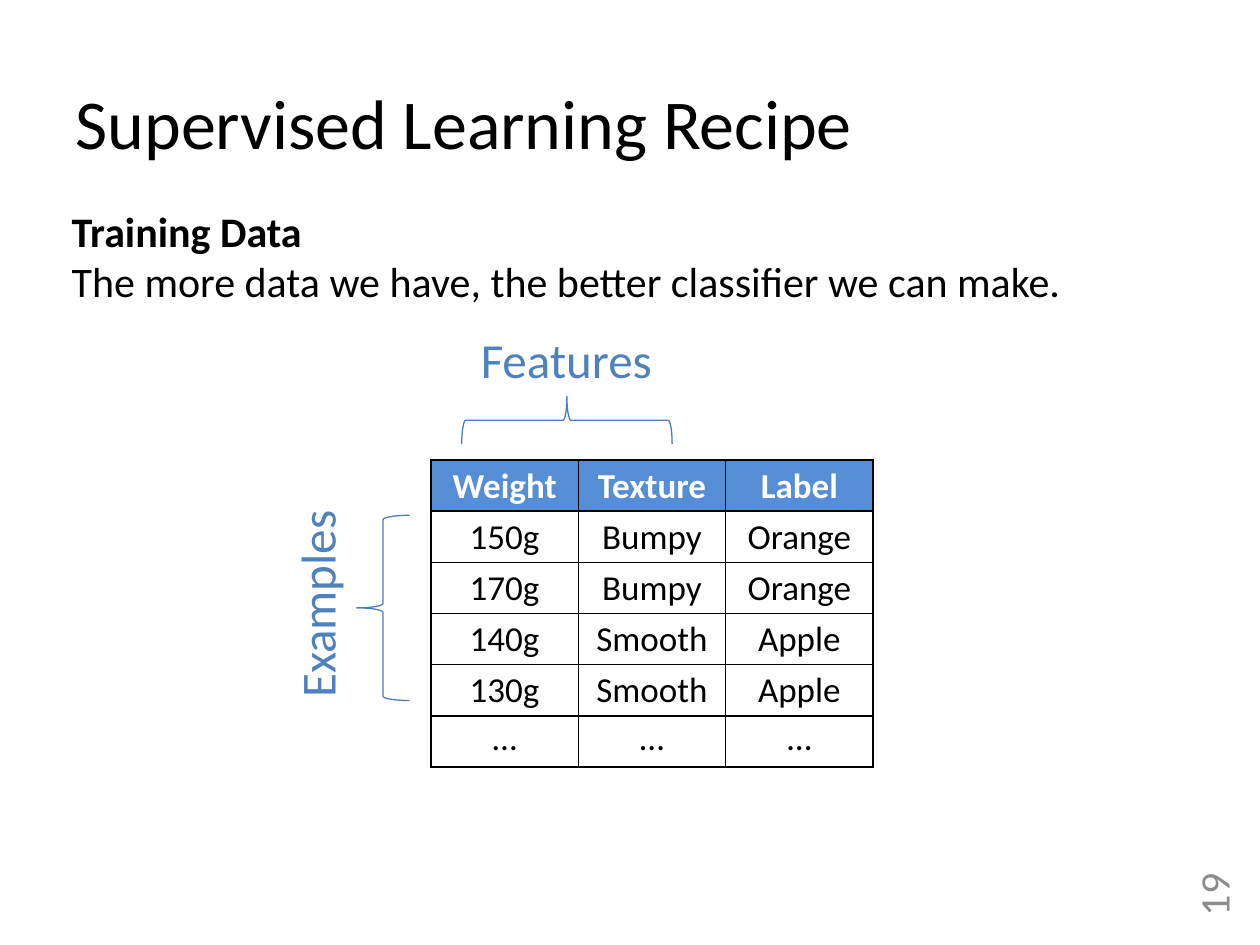
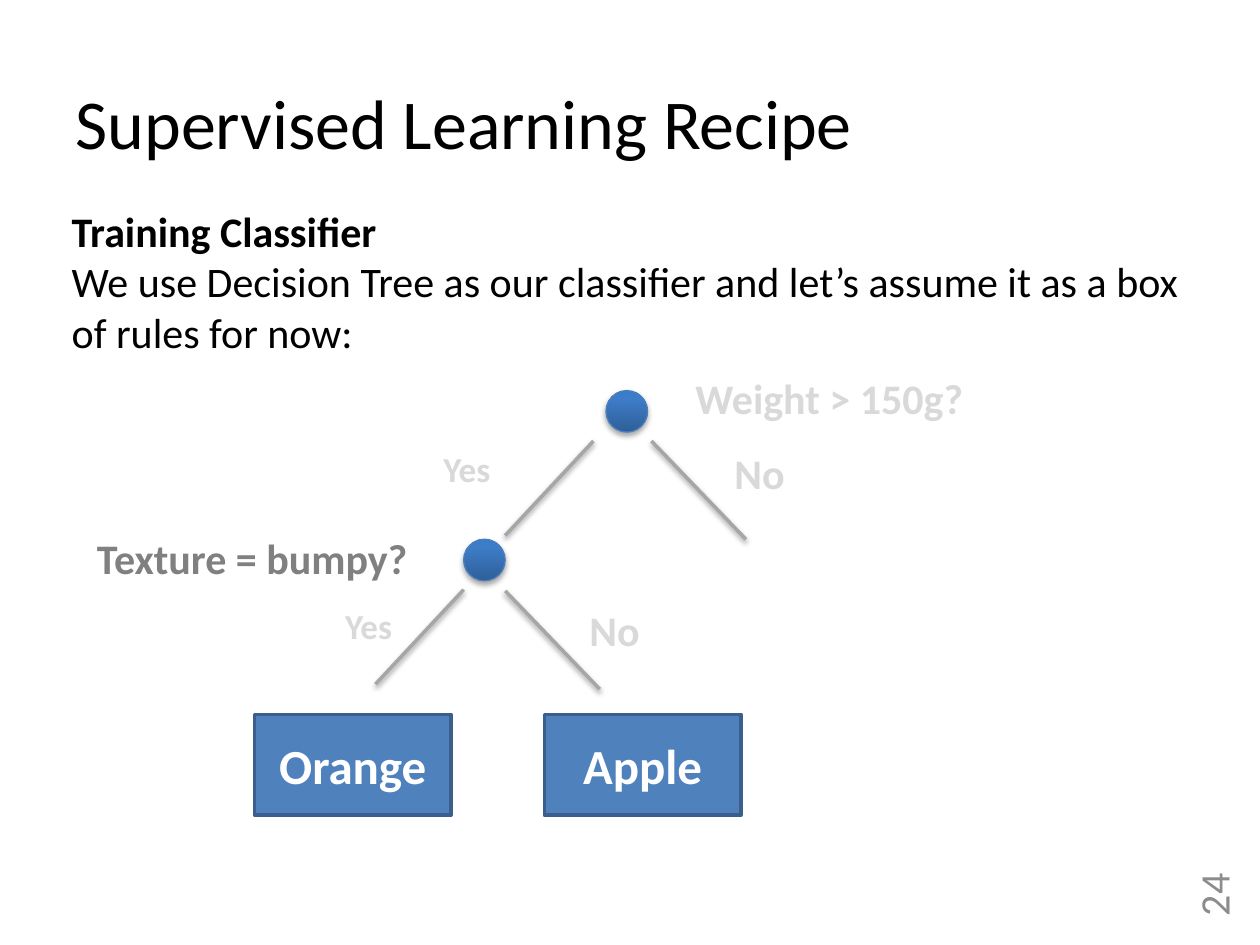
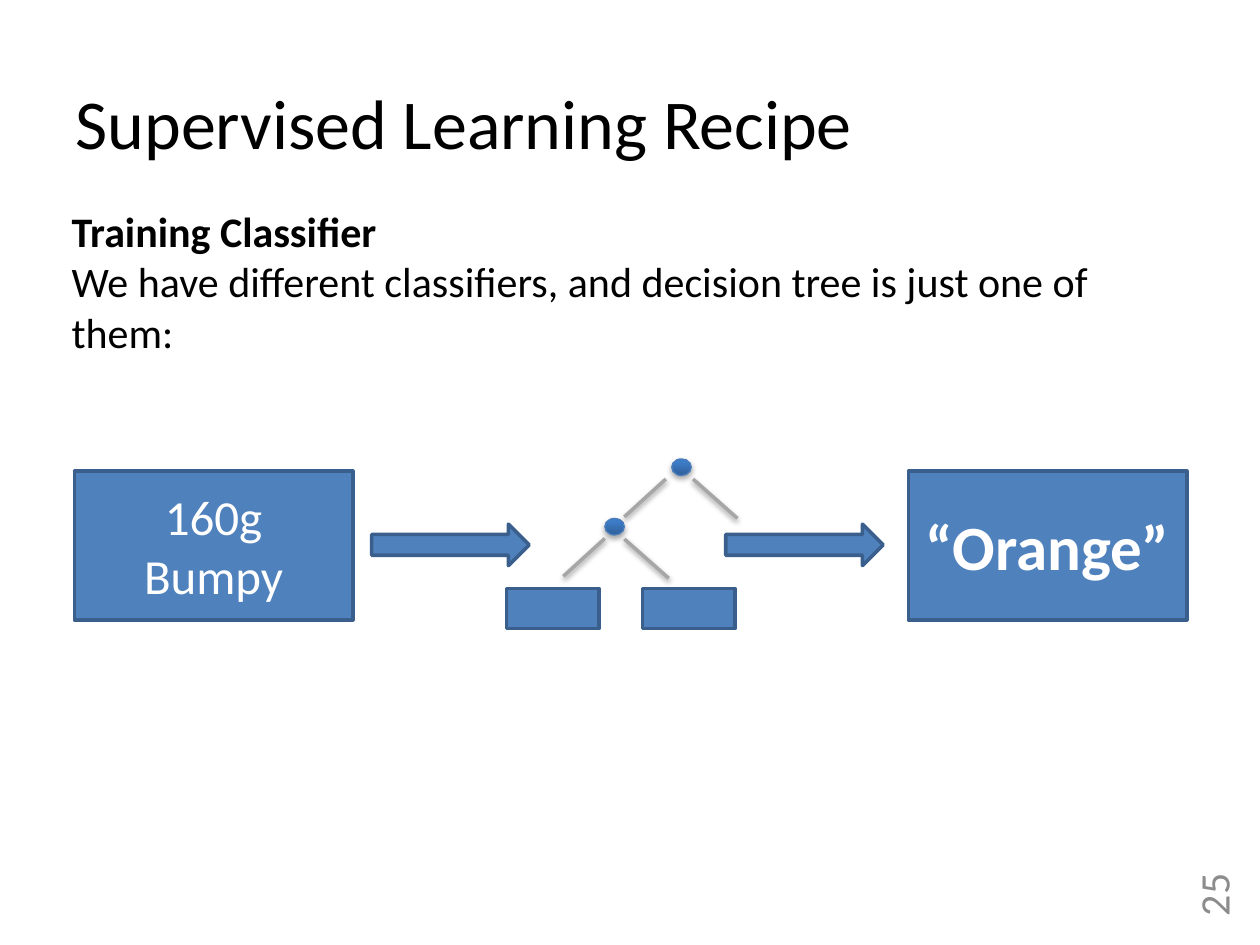
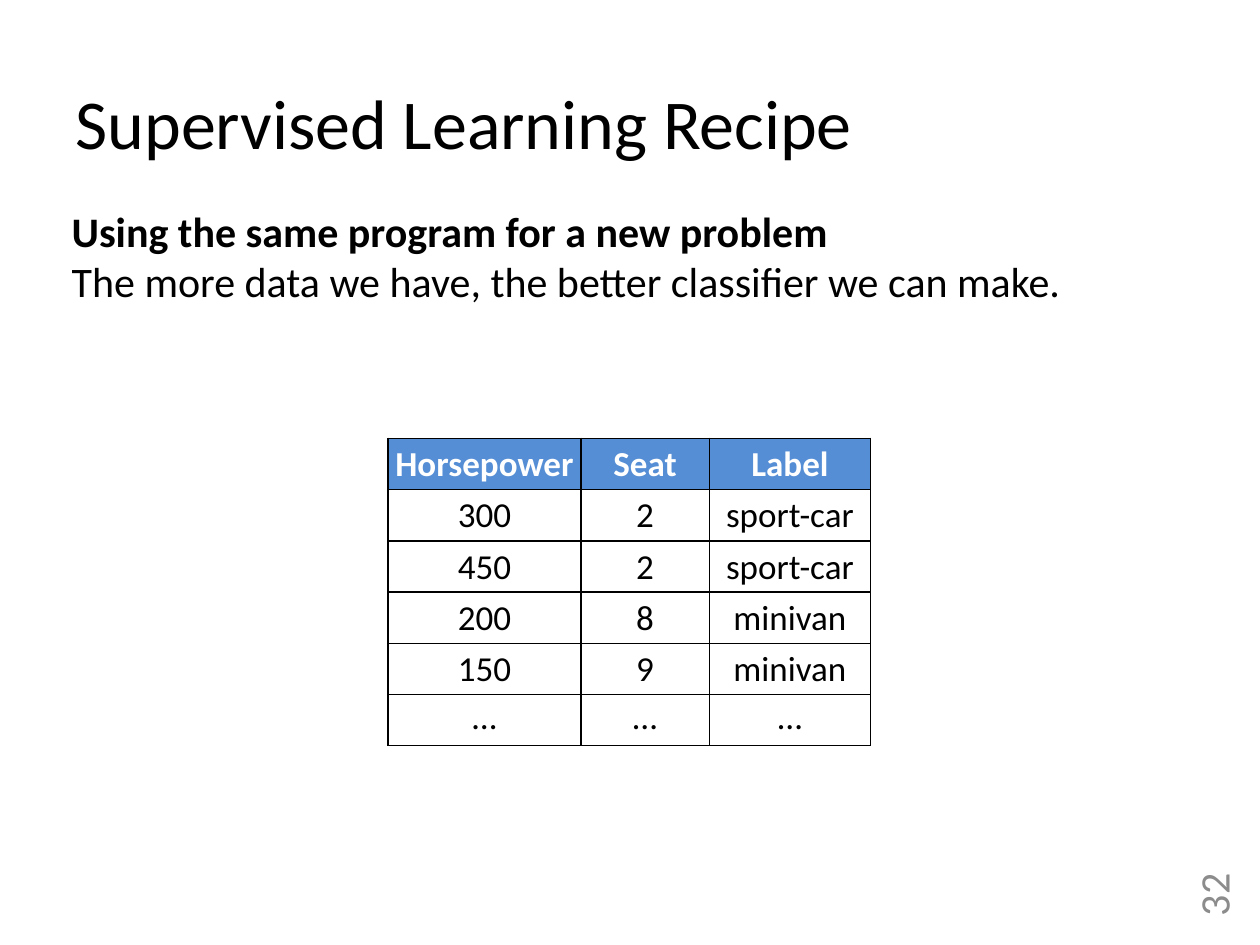
from dataclasses import dataclass

from pptx import Presentation, util as u
from pptx.dml.color import RGBColor
from pptx.enum import shapes, text
from pptx.oxml import parse_xml

NS = 'xmlns:a="http://schemas.openxmlformats.org/drawingml/2006/main"'


@dataclass(frozen=True)
class Theme:
    font: str = "Calibri"
    ink: str = "000000"
    paper: str = "FFFFFF"
    number: str = "8C8C8C"
    blue: str = "4F81BD"
    edge: str = "3A5F8C"
    thin: str = "4B7EBC"
    header: str = "558ED5"
    branch: str = "A6A6A6"
    active: str = "808080"
    faded: str = "D9D9D9"
    title_size: int = 40
    answer_size: int = 36
    label_size: int = 28
    body_size: int = 24
    cell_size: int = 20


theme = Theme()


def write(frame, lines, size, color, bold=False, align=text.PP_ALIGN.LEFT):
    for index, line in enumerate(lines):
        para = frame.add_paragraph() if index else frame.paragraphs[0]
        para.alignment = align
        for part_index, part in enumerate(line.split("\n")):
            if part_index:
                para.add_line_break()
            span = para.add_run()
            span.text = part
            span.font.name = theme.font
            span.font.size = u.Pt(size)
            span.font.bold = bold
            span.font.color.rgb = RGBColor.from_string(color)


def add_shadow(shape, distance, opacity):
    shape._element.spPr.append(parse_xml(
        f'<a:effectLst {NS}><a:outerShdw blurRad="40000" dist="{distance}" dir="5400000" rotWithShape="0">'
        f'<a:srgbClr val="000000"><a:alpha val="{opacity}000"/></a:srgbClr></a:outerShdw></a:effectLst>'))


deck = Presentation()
deck.slide_width, deck.slide_height = u.Inches(10), u.Inches(7.5)

more_data = "The more data we have, the better classifier we can make."
contents = [
    ("19", 0.91, "Training Data", more_data),
    ("24", 1.31, "Training Classifier",
     "We use Decision Tree as our classifier and let’s assume it as a box of rules for now:"),
    ("25", 1.31, "Training Classifier",
     "We have different classifiers, and decision tree is just one of them:"),
    ("32", 0.91, "Using the same program for a new problem", more_data),
]
pages = []
for number, body_height, heading, sentence in contents:
    page = deck.slides.add_slide(deck.slide_layouts[6])
    pages.append(page)

    box = page.shapes.add_textbox(*map(u.Inches, (9.29, 6.96, 0.67, 0.42)))
    box.rotation = 270
    box.text_frame.word_wrap = True
    box.text_frame.vertical_anchor = text.MSO_ANCHOR.MIDDLE
    write(box.text_frame, [number], theme.body_size, theme.number, align=text.PP_ALIGN.RIGHT)

    for at, lines, size in [
        ((0.5, 0.58, 9.08, 0.77), ["Supervised Learning Recipe"], theme.title_size),
        ((0.47, 1.58, 9.08, body_height), [heading, sentence], theme.body_size),
    ]:
        box = page.shapes.add_textbox(*map(u.Inches, at))
        box.text_frame.word_wrap = True
        box.text_frame.auto_size = text.MSO_AUTO_SIZE.SHAPE_TO_FIT_TEXT
        write(box.text_frame, lines, size, theme.ink)
    box.text_frame.paragraphs[0].runs[0].font.bold = True

fruit_page, tree_page, flow_page, car_page = pages

fruit_rows = [
    ("Weight", "Texture", "Label"),
    ("150g", "Bumpy", "Orange"),
    ("170g", "Bumpy", "Orange"),
    ("140g", "Smooth", "Apple"),
    ("130g", "Smooth", "Apple"),
    ("…", "…", "…"),
]
car_rows = [
    ("Horsepower", "Seat", "Label"),
    ("300", "2", "sport-car"),
    ("450", "2", "sport-car"),
    ("200", "8", "minivan"),
    ("150", "9", "minivan"),
    ("…", "…", "…"),
]
for page, left, top, widths, rows in [
    (fruit_page, 3.42, 3.65, (1.17, 1.17, 1.17), fruit_rows),
    (car_page, 3.08, 3.48, (1.53, 1.02, 1.28), car_rows),
]:
    table = page.shapes.add_table(
        len(rows), len(widths), *map(u.Inches, (left, top, sum(widths), 2.44))).table
    table.first_row = table.horz_banding = False
    for column, width in zip(table.columns, widths):
        column.width = u.Inches(width)
    for row_index, row in enumerate(rows):
        is_header = row_index == 0
        is_last = row_index == len(rows) - 1
        for column_index, value in enumerate(row):
            cell = table.cell(row_index, column_index)
            cell.margin_left = cell.margin_right = cell.margin_top = u.Inches(0.01)
            cell.margin_bottom = 0
            cell.vertical_anchor = text.MSO_ANCHOR.TOP if is_last else text.MSO_ANCHOR.MIDDLE
            if is_header:
                cell.fill.solid()
                cell.fill.fore_color.rgb = RGBColor.from_string(theme.header)
            else:
                cell.fill.background()
            write(cell.text_frame, [value], theme.cell_size,
                  theme.paper if is_header else theme.ink, is_header, text.PP_ALIGN.CENTER)
            for side_index, side in enumerate("LRTB"):
                cell._tc.get_or_add_tcPr().insert(side_index, parse_xml(
                    f'<a:ln{side} {NS} w="12700"><a:solidFill><a:srgbClr val="{theme.ink}"/>'
                    f'</a:solidFill></a:ln{side}>'))

for kind, brace_at, label, label_at, brace_turn, label_turn in [
    (shapes.MSO_SHAPE.RIGHT_BRACE, (4.31, 2.5, 0.38, 1.67), "Features", (3.71, 2.57, 1.57, 0.57), 270, 0),
    (shapes.MSO_SHAPE.LEFT_BRACE, (2.83, 4.09, 0.42, 1.47), "Examples", (1.66, 4.51, 1.7, 0.57), 0, 270),
]:
    brace = fruit_page.shapes.add_shape(kind, *map(u.Inches, brace_at))
    brace.rotation = brace_turn
    brace.shadow.inherit = False
    brace.fill.background()
    brace.line.color.rgb = RGBColor.from_string(theme.thin)
    brace.line.width = u.Pt(0.75)
    box = fruit_page.shapes.add_textbox(*map(u.Inches, label_at))
    box.rotation = label_turn
    box.text_frame.word_wrap = False
    box.text_frame.auto_size = text.MSO_AUTO_SIZE.SHAPE_TO_FIT_TEXT
    write(box.text_frame, [label], theme.label_size, theme.blue, align=text.PP_ALIGN.CENTER)

nodes = [(3.68, 4.28), (4.81, 3.1)]
branches = [
    (4.71, 3.5, 4.01, 4.25),
    (3.68, 4.68, 2.98, 5.43),
    (5.17, 3.5, 5.92, 4.28),
    (4.01, 4.69, 4.76, 5.47),
]
leaves = [(2.02, "Orange"), (4.32, "Apple")]
leaf_top = 5.67
blocks = []
for canvas, left, top, scale_x, scale_y, labelled in [
    (tree_page.shapes, leaves[0][0], leaf_top, 1, 1, True),
    (flow_page.shapes.add_group_shape().shapes, 4.02, 4.67, 0.47, 0.4, False),
]:
    shift_x, shift_y = left - leaves[0][0] * scale_x, top - leaf_top * scale_y
    for x, y in nodes:
        node = canvas.add_shape(shapes.MSO_SHAPE.OVAL, *map(u.Inches, (
            shift_x + x * scale_x, shift_y + y * scale_y, 0.33 * scale_x, 0.33 * scale_y)))
        node._element.spPr.prstGeom.addnext(parse_xml(
            f'<a:gradFill {NS} rotWithShape="1"><a:gsLst>'
            '<a:gs pos="0"><a:srgbClr val="2F5F99"/></a:gs>'
            '<a:gs pos="80000"><a:srgbClr val="3D7CC7"/></a:gs>'
            '<a:gs pos="100000"><a:srgbClr val="3A7CCB"/></a:gs>'
            '</a:gsLst><a:lin ang="16200000" scaled="0"/></a:gradFill>'))
        node.line.color.rgb = RGBColor.from_string(theme.thin)
        node.line.width = u.Pt(0.75)
        add_shadow(node, 23000, 35)
    for x1, y1, x2, y2 in branches:
        branch = canvas.add_connector(shapes.MSO_CONNECTOR.STRAIGHT, *map(u.Inches, (
            shift_x + x1 * scale_x, shift_y + y1 * scale_y,
            shift_x + x2 * scale_x, shift_y + y2 * scale_y)))
        branch.line.color.rgb = RGBColor.from_string(theme.branch)
        branch.line.width = u.Pt(2)
        add_shadow(branch, 20000, 38)
    for x, name in leaves:
        leaf_at = (shift_x + x * scale_x, top, 1.56 * scale_x, 0.8 * scale_y)
        blocks.append((canvas, shapes.MSO_SHAPE.RECTANGLE, leaf_at,
                       name if labelled else "", theme.label_size, True))

for label, at, size, color in [
    ("Texture = bumpy?", (0.67, 4.18, 2.92, 0.5), theme.body_size, theme.active),
    ("Weight > 150g?", (5.42, 2.91, 2.92, 0.5), theme.body_size, theme.faded),
    ("No", (5.73, 3.5, 0.69, 0.5), theme.body_size, theme.faded),
    ("Yes", (3.42, 3.5, 0.69, 0.44), theme.cell_size, theme.faded),
    ("Yes", (2.64, 4.75, 0.69, 0.44), theme.cell_size, theme.faded),
    ("No", (4.58, 4.75, 0.69, 0.5), theme.body_size, theme.faded),
]:
    box = tree_page.shapes.add_textbox(*map(u.Inches, at))
    box.text_frame.word_wrap = True
    box.text_frame.auto_size = text.MSO_AUTO_SIZE.SHAPE_TO_FIT_TEXT
    write(box.text_frame, [label], size, color, True)

flow = flow_page.shapes.add_group_shape().shapes
for arrow_left in (2.95, 5.76):
    blocks.append((flow, shapes.MSO_SHAPE.RIGHT_ARROW, (arrow_left, 4.16, 1.25, 0.33),
                   "", theme.label_size, False))
for block_left, label, size, bold in [
    (7.21, "“Orange”", theme.answer_size, True),
    (0.59, "160g\nBumpy", theme.label_size, False),
]:
    blocks.append((flow, shapes.MSO_SHAPE.RECTANGLE, (block_left, 3.74, 2.21, 1.18), label, size, bold))

for canvas, kind, at, label, size, bold in blocks:
    block = canvas.add_shape(kind, *map(u.Inches, at))
    block.shadow.inherit = False
    block.fill.solid()
    block.fill.fore_color.rgb = RGBColor.from_string(theme.blue)
    block.line.color.rgb = RGBColor.from_string(theme.edge)
    block.line.width = u.Pt(2)
    if label:
        block.text_frame.vertical_anchor = text.MSO_ANCHOR.MIDDLE
        write(block.text_frame, [label], size, theme.paper, bold, text.PP_ALIGN.CENTER)

deck.save("out.pptx")
